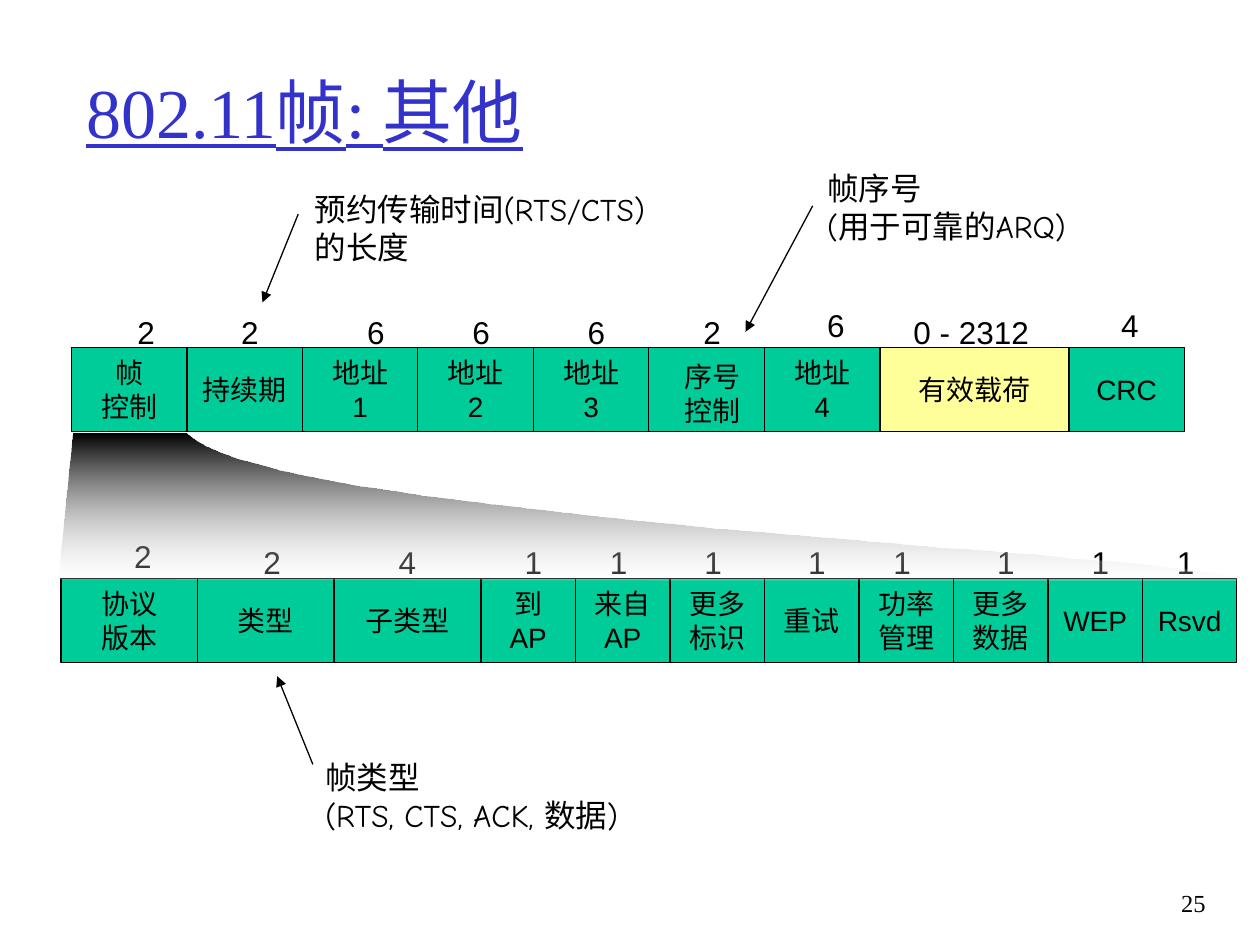
import lxml.etree
import pptx
import pptx.dml.color
import pptx.enum.shapes
import pptx.enum.text
import pptx.oxml.ns
import pptx.util

EMU_PER_PX = 7620  # 120 px to the inch
COLORS = {
    "black": "000000",
    "white": "FFFFFF",
    "title": "3333CC",
    "field": "00CC99",
    "payload": "FFFF99",
}
ALIGN = pptx.enum.text.PP_ALIGN
ANCHOR = pptx.enum.text.MSO_ANCHOR
FIELD_HEIGHT = 80

# (text, width) of each field, from left to right
FRAME_FIELDS = [
    ("帧\n控制", 110), ("持续期", 110), ("地址\n1", 110), ("地址\n2", 110),
    ("地址\n3", 110), ("", 110), ("地址\n4", 110), ("有效载荷", 180), ("CRC", 110),
]
CONTROL_FIELDS = [
    ("协议\n版本", 130), ("类型", 130), ("子类型", 140), ("到\nAP", 90),
    ("来自\nAP", 90), ("更多\n标识", 90), ("重试", 90), ("功率\n管理", 90),
    ("更多\n数据", 90), ("WEP", 90), ("Rsvd", 90),
]

# (text, left, top) of the length above each field
FRAME_LENGTHS = [
    ("2", 119, 292), ("2", 218, 292), ("6", 338, 292), ("6", 438, 292),
    ("6", 548, 292), ("2", 658, 292), ("6", 776, 286), ("0 - 2312", 858, 292),
    ("4", 1056, 286),
]
CONTROL_LENGTHS = [
    ("2", 116, 506), ("2", 239, 511), ("4", 368, 511), ("1", 488, 511),
    ("1", 569, 511), ("1", 659, 511), ("1", 758, 511), ("1", 839, 511),
    ("1", 938, 511), ("1", 1028, 511), ("1", 1109, 511),
]


def px(*lengths):
    return [pptx.util.Emu(length * EMU_PER_PX) for length in lengths]


def rgb(name):
    return pptx.dml.color.RGBColor.from_string(COLORS[name])


def write_text(shape, text, size=18, font="Arial", color="black", align=ALIGN.LEFT,
               anchor=ANCHOR.TOP, wrap=False, underline=None):
    frame = shape.text_frame
    frame.text = text
    frame.word_wrap = wrap
    frame.auto_size = pptx.enum.text.MSO_AUTO_SIZE.NONE
    frame.vertical_anchor = anchor
    for paragraph in frame.paragraphs:
        paragraph.alignment = align
        for run in paragraph.runs:
            run.font.size = pptx.util.Pt(size)
            run.font.name = font
            run.font.color.rgb = rgb(color)
            run.font.underline = underline


def add_label(slide, text, left, top, width, height, **text_format):
    box = slide.shapes.add_textbox(*px(left, top, width, height))
    write_text(box, text, **text_format)


def add_lengths(slide, lengths):
    for text, left, top in lengths:
        add_label(slide, text, left, top, 41 if len(text) == 1 else 133, 48)


def add_field_row(slide, fields, left, top):
    for text, width in fields:
        shape = slide.shapes.add_shape(
            pptx.enum.shapes.MSO_SHAPE.RECTANGLE, *px(left, top, width, FIELD_HEIGHT))
        shape.shadow.inherit = False
        shape.fill.solid()
        shape.fill.fore_color.rgb = rgb("payload" if text == "有效载荷" else "field")
        shape.line.color.rgb = rgb("black")
        shape.line.width = pptx.util.Pt(0.75)
        if text:
            write_text(shape, text, size=16, align=ALIGN.CENTER, anchor=ANCHOR.MIDDLE)
        left += width


def curve_points(start, control_1, control_2, end, steps=40):
    """Points along a cubic Bezier curve, without its start."""
    points = []
    for step in range(1, steps + 1):
        t = step / steps
        weights = ((1 - t) ** 3, 3 * t * (1 - t) ** 2, 3 * t ** 2 * (1 - t), t ** 3)
        corners = (start, control_1, control_2, end)
        points.append(tuple(
            round(sum(weight * corner[axis] for weight, corner in zip(weights, corners)), 2)
            for axis in (0, 1)))
    return points


def add_funnel(slide):
    bottom_right = (1180, 553)
    outline = [(56, 551), bottom_right]
    outline += curve_points(bottom_right, (1200, 529), (259, 498), (178, 413))
    builder = slide.shapes.build_freeform(70, 413, scale=EMU_PER_PX)
    builder.add_line_segments(outline, close=True)
    funnel = builder.convert_to_shape()
    funnel.shadow.inherit = False
    funnel.line.fill.background()
    funnel.fill.gradient()
    funnel.fill.gradient_angle = 270
    for stop, color in zip(funnel.fill.gradient_stops, ("black", "white")):
        stop.color.rgb = rgb(color)
    # The white end is mostly transparent
    qn = pptx.oxml.ns.qn
    white = funnel.element.spPr.findall(".//" + qn("a:srgbClr"))[-1]
    lxml.etree.SubElement(white, qn("a:alpha")).set("val", "18000")


def add_arrow(slide, start, end):
    arrow = slide.shapes.add_connector(
        pptx.enum.shapes.MSO_CONNECTOR.STRAIGHT, *px(*start, *end))
    arrow.line.color.rgb = rgb("black")
    arrow.line.width = pptx.util.Pt(0.75)
    qn = pptx.oxml.ns.qn
    line = arrow.line._get_or_add_ln()
    lxml.etree.SubElement(line, qn("a:tailEnd")).set("type", "triangle")
    lxml.etree.SubElement(arrow.element.spPr, qn("a:effectLst"))


def add_note(slide, text, left, top, width, arrow_start, arrow_end):
    add_label(slide, text, left, top, width, 84, font="Comic Neue")
    add_arrow(slide, arrow_start, arrow_end)


def main():
    presentation = pptx.Presentation()
    presentation.slide_width, presentation.slide_height = px(1200, 900)
    slide = presentation.slides.add_slide(presentation.slide_layouts[5])

    # Title
    title = slide.shapes.title
    title.left, title.top, title.width, title.height = px(70, 30, 1020, 150)
    write_text(title, "802.11帧: 其他", size=40, font="Times New Roman", color="title",
               anchor=ANCHOR.MIDDLE, wrap=True, underline=True)

    # Frame layout
    add_field_row(slide, FRAME_FIELDS, 68, 331)
    add_lengths(slide, FRAME_LENGTHS)
    add_label(slide, "序号\n控制", 640, 337, 77, 77, size=16, align=ALIGN.CENTER)

    # Frame control field, opened up
    add_field_row(slide, CONTROL_FIELDS, 58, 551)
    add_lengths(slide, CONTROL_LENGTHS)
    add_funnel(slide)

    # Notes with arrows
    add_note(slide, "预约传输时间(RTS/CTS)\n的长度", 288, 175, 346, (284, 204), (250, 288))
    add_note(slide, "帧序号\n(用于可靠的ARQ)", 776, 155, 265, (774, 196), (710, 316))
    add_note(slide, "帧类型\n(RTS, CTS, ACK, 数据)", 298, 716, 317, (298, 728), (264, 644))

    # Slide number
    add_label(slide, "25", 1072, 840, 88, 60, size=14, font="Times New Roman",
              align=ALIGN.RIGHT, wrap=True)

    presentation.save("out.pptx")


if __name__ == "__main__":
    main()
